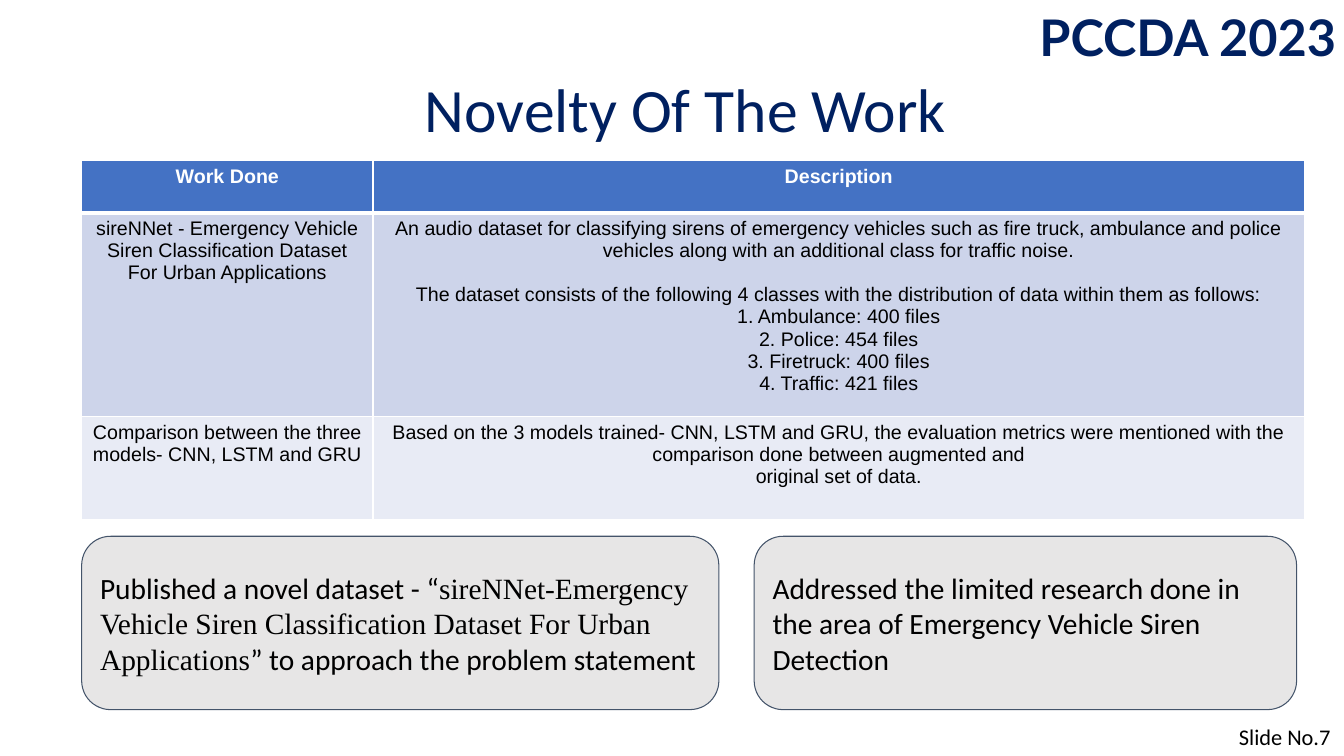
from lxml import etree
from pptx import Presentation
from pptx.dml.color import RGBColor
from pptx.enum import shapes, text
from pptx.oxml import ns
from pptx.util import Inches, Pt

NAVY = RGBColor(0x00, 0x20, 0x60)
BLUE = RGBColor(0x44, 0x72, 0xC4)
LAVENDER = RGBColor(0xCD, 0xD4, 0xEA)
PALE = RGBColor(0xE8, 0xEB, 0xF5)
GREY = RGBColor(0xE7, 0xE6, 0xE6)
SLATE = RGBColor(0x44, 0x54, 0x6A)
WHITE = RGBColor(0xFF, 0xFF, 0xFF)
BLACK = RGBColor(0x00, 0x00, 0x00)


def add_run(paragraph, words, font, size, color, bold=False):
    run = paragraph.add_run()
    run.text = words
    run.font.name = font
    run.font.size = Pt(size)
    run.font.color.rgb = color
    run.font.bold = bold


def add_border(cell, side, width):
    line = etree.SubElement(cell._tc.get_or_add_tcPr(), ns.qn(f"a:ln{side}"), w=str(Pt(width)))
    fill = etree.SubElement(line, ns.qn("a:solidFill"))
    etree.SubElement(fill, ns.qn("a:srgbClr"), val=str(WHITE))


prs = Presentation()
prs.slide_width = Inches(13.33)
prs.slide_height = Inches(7.5)
slide = prs.slides.add_slide(prs.slide_layouts[6])

# Title, slide number and conference name
CENTER, LEFT = text.PP_ALIGN.CENTER, text.PP_ALIGN.LEFT
MIDDLE, TOP = text.MSO_ANCHOR.MIDDLE, text.MSO_ANCHOR.TOP
labels = [
    ("Novelty Of The Work", (0.66, 0.75, 12.28, 0.74), "Calibri", 44, NAVY, False, CENTER, MIDDLE, 0.9),
    ("Slide No.7", (12.19, 7.13, 1.14, 0.37), "Calibri", 16, BLACK, False, LEFT, TOP, 1),
    ("PCCDA 2023", (10.29, 0.12, 2.98, 0.55), "Lato", 36, NAVY, True, CENTER, MIDDLE, 0.9),
]
for words, place, font, size, color, bold, align, anchor, spacing in labels:
    frame = slide.shapes.add_textbox(*map(Inches, place)).text_frame
    frame.word_wrap = words != "Slide No.7"
    frame.vertical_anchor = anchor
    if font == "Lato":
        frame.margin_left = frame.margin_right = frame.margin_top = frame.margin_bottom = 0
    paragraph = frame.paragraphs[0]
    paragraph.alignment = align
    paragraph.line_spacing = spacing
    add_run(paragraph, words, font, size, color, bold)

# Table of work done
work_rows = [
    (0.52, BLUE, [["Work Done"], ["Description"]]),
    (2.02, LAVENDER, [
        ["sireNNet - Emergency Vehicle Siren Classification Dataset For Urban Applications"],
        ["An audio dataset for classifying sirens of emergency vehicles such as fire truck, "
         "ambulance and police vehicles along with an additional class for traffic noise.",
         "The dataset consists of the following 4 classes with the distribution of data "
         "within them as follows:",
         "1. Ambulance: 400 files",
         "2. Police: 454 files",
         "3. Firetruck: 400 files",
         "4. Traffic: 421 files"],
    ]),
    (1.03, PALE, [
        ["Comparison between the three models- CNN, LSTM and GRU"],
        ["Based on the 3 models trained- CNN, LSTM and GRU, the evaluation metrics were "
         "mentioned with the comparison done between augmented and",
         "original set of data."],
    ]),
]
work = slide.shapes.add_table(
    3, 2, Inches(0.81), Inches(1.59), Inches(12.13), Inches(3.57)).table
work.columns[0].width = Inches(2.89)
work.columns[1].width = Inches(9.24)
for row, (height, fill, entries) in enumerate(work_rows):
    work.rows[row].height = Inches(height)
    header = row == 0
    for column, lines in enumerate(entries):
        cell = work.cell(row, column)
        for side in "LRTB":
            add_border(cell, side, 3 if header and side == "B" else 1)
        cell.fill.solid()
        cell.fill.fore_color.rgb = fill
        for number, line in enumerate(lines):
            paragraph = cell.text_frame.paragraphs[0] if number == 0 else cell.text_frame.add_paragraph()
            paragraph.alignment = CENTER
            if line.startswith("The dataset consists"):
                paragraph.space_before = Pt(16)
            add_run(paragraph, line, "Arial", 14, WHITE if header else BLACK, header)

# Contribution cards
cards = [
    (7.48, 5.38, [("Addressed the limited research done in the area of "
                   "Emergency Vehicle Siren Detection", "Calibri")]),
    (0.81, 6.32, [
        ("Published a novel dataset - “", "Calibri"),
        ("sireNNet-Emergency Vehicle Siren Classification Dataset For Urban Applications",
         "Times New Roman"),
        ("” to approach the problem statement", "Calibri"),
    ]),
]
for left, width, pieces in cards:
    card = slide.shapes.add_shape(
        shapes.MSO_SHAPE.ROUNDED_RECTANGLE, Inches(left), Inches(5.32), Inches(width), Inches(1.72))
    card.shadow.inherit = False
    card.fill.solid()
    card.fill.fore_color.rgb = GREY
    card.line.color.rgb = SLATE
    card.line.width = Pt(0.75)
    frame = card.text_frame
    frame.word_wrap = True
    frame.vertical_anchor = MIDDLE
    frame.margin_left = frame.margin_right = frame.margin_top = frame.margin_bottom = Inches(0.1)
    frame.paragraphs[0].alignment = LEFT
    for words, font in pieces:
        add_run(frame.paragraphs[0], words, font, 21, BLACK)

prs.save("out.pptx")
